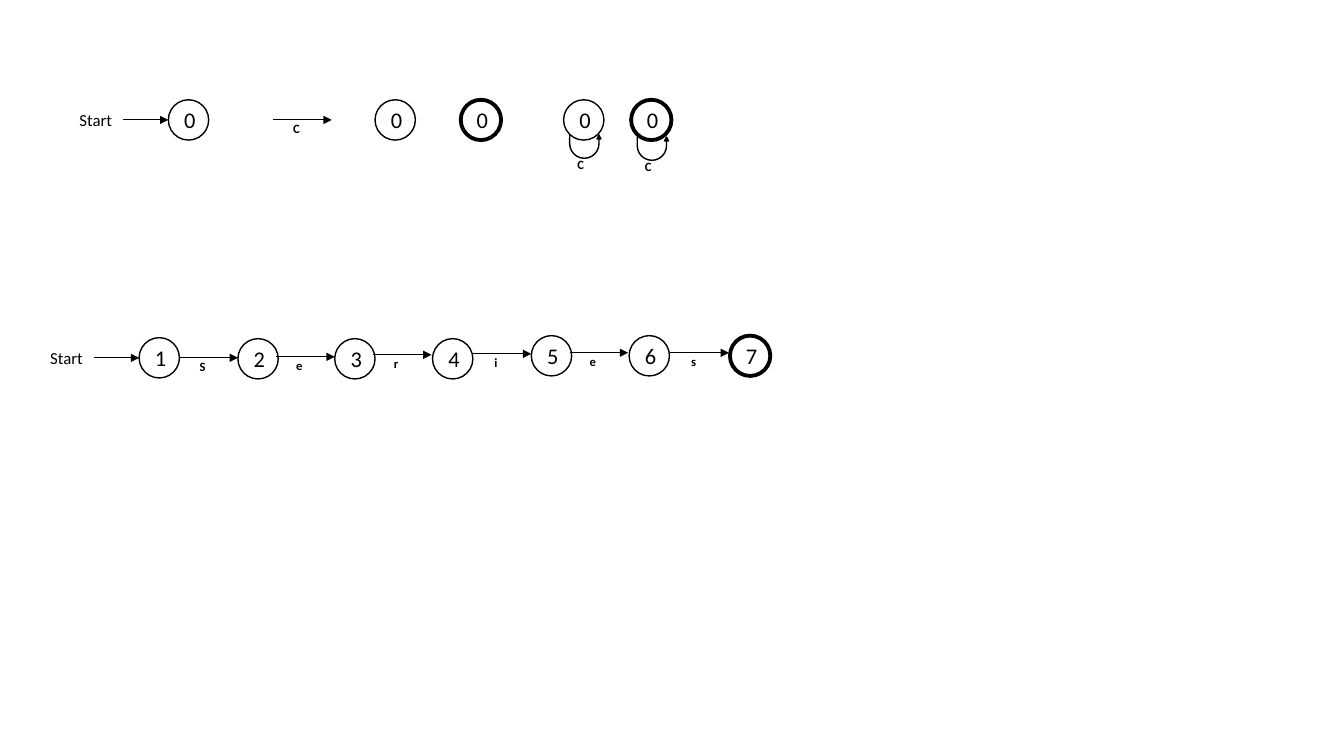
"""Draw the legend and the seven-state automaton that reads "Series"."""
from dataclasses import dataclass

from lxml import etree
from pptx import Presentation
from pptx.dml.color import RGBColor
from pptx.enum.shapes import MSO_CONNECTOR, MSO_SHAPE
from pptx.enum.text import PP_ALIGN
from pptx.oxml.ns import qn
from pptx.util import Inches, Pt

BLACK = RGBColor(0x00, 0x00, 0x00)
OVAL = MSO_SHAPE.OVAL
U_TURN = MSO_SHAPE.U_TURN_ARROW
STRAIGHT = MSO_CONNECTOR.STRAIGHT
LEFT, CENTER = PP_ALIGN.LEFT, PP_ALIGN.CENTER

DIAMETER = 0.4
EDGE_LENGTH = 0.58
START_LENGTH = 0.45
LOOP_ADJUSTMENTS = (0, 0.085, 0.164, 0.717, 1)


@dataclass(frozen=True)
class State:
    name: str
    x: float
    y: float
    final: bool = False
    start: bool = False
    loop: str = ""
    loop_drop: float = 0.35


@dataclass(frozen=True)
class Edge:
    label: str
    x: float
    y: float


STATES = [
    State("0", 1.67, 0.99, start=True),
    State("0", 3.72, 0.99),
    State("0", 4.57, 0.99, final=True),
    State("0", 5.59, 0.99, loop="C"),
    State("0", 6.26, 0.99, final=True, loop="C", loop_drop=0.37),
    State("1", 1.38, 3.35, start=True),
    State("2", 2.36, 3.36),
    State("3", 3.32, 3.36),
    State("4", 4.29, 3.36),
    State("5", 5.27, 3.33),
    State("6", 6.24, 3.33),
    State("7", 7.24, 3.33, final=True),
]
EDGES = [
    Edge("C", 2.71, 1.19),
    Edge("S", 1.78, 3.55),
    Edge("e", 2.74, 3.54),
    Edge("r", 3.7, 3.52),
    Edge("i", 4.69, 3.51),
    Edge("e", 5.65, 3.5),
    Edge("s", 6.65, 3.5),
]


def set_text(tf, text: str, *, size: float, bold: bool = False, align=CENTER) -> None:
    p = tf.paragraphs[0]
    p.alignment = align
    r = p.add_run()
    r.text = text
    r.font.name = "Calibri"
    r.font.size = Pt(size)
    r.font.bold = bold
    r.font.color.rgb = BLACK


def add_label(shapes, text: str, x: float, y: float) -> None:
    tf = shapes.add_textbox(Inches(x), Inches(y), Inches(0.16), Inches(0.25)).text_frame
    tf.word_wrap = False
    tf.margin_left = tf.margin_right = 0
    set_text(tf, text, size=9, bold=True)


def add_arrow(shapes, x: float, y: float, length: float) -> None:
    line = shapes.add_connector(STRAIGHT, Inches(x), Inches(y), Inches(x + length), Inches(y))
    line.line.color.rgb = BLACK
    line.line.width = Pt(0.75)
    etree.SubElement(line.line._get_or_add_ln(), qn("a:tailEnd"), type="triangle")
    etree.SubElement(line._element.spPr, qn("a:effectLst"))


def add_edge(shapes, edge: Edge) -> None:
    group = shapes.add_group_shape().shapes
    add_arrow(group, edge.x, edge.y, EDGE_LENGTH)
    add_label(group, edge.label, edge.x + 0.15, edge.y - 0.04)


def add_start(shapes, state: State) -> None:
    x, y = state.x - START_LENGTH, state.y + DIAMETER / 2
    tb = shapes.add_textbox(Inches(x - 0.53), Inches(y - 0.15), Inches(0.53), Inches(0.3))
    tb.text_frame.word_wrap = False
    set_text(tb.text_frame, "Start", size=12, align=LEFT)
    add_arrow(shapes, x, y, START_LENGTH)


def add_loop(shapes, state: State) -> None:
    x, y = state.x + 0.06, state.y + state.loop_drop
    sp = shapes.add_shape(U_TURN, Inches(x), Inches(y), Inches(0.31), Inches(0.23))
    for i, value in enumerate(LOOP_ADJUSTMENTS):
        sp.adjustments[i] = value
    sp.rotation = 180
    sp._element.spPr.xfrm.set("flipH", "1")
    sp.shadow.inherit = False
    sp.fill.solid()
    sp.fill.fore_color.rgb = BLACK
    sp.line.color.rgb = BLACK
    sp.line.width = Pt(1)
    add_label(shapes, state.loop, x + 0.03, y + 0.17)


def add_state(shapes, state: State) -> None:
    if state.start or state.loop:
        shapes = shapes.add_group_shape().shapes
    if state.start:
        add_start(shapes, state)
    sp = shapes.add_shape(OVAL, Inches(state.x), Inches(state.y), Inches(DIAMETER), Inches(DIAMETER))
    sp.shadow.inherit = False
    sp.fill.background()
    sp.line.color.rgb = BLACK
    sp.line.width = Pt(2.75 if state.final else 1)
    set_text(sp.text_frame, state.name, size=16)
    if state.loop:
        add_loop(shapes, state)


def main() -> None:
    prs = Presentation()
    prs.slide_width, prs.slide_height = Inches(13.33), Inches(7.5)
    s = prs.slides.add_slide(prs.slide_layouts[6])
    for state in STATES:
        add_state(s.shapes, state)
    for edge in EDGES:
        add_edge(s.shapes, edge)
    prs.save("out.pptx")


if __name__ == "__main__":
    main()
